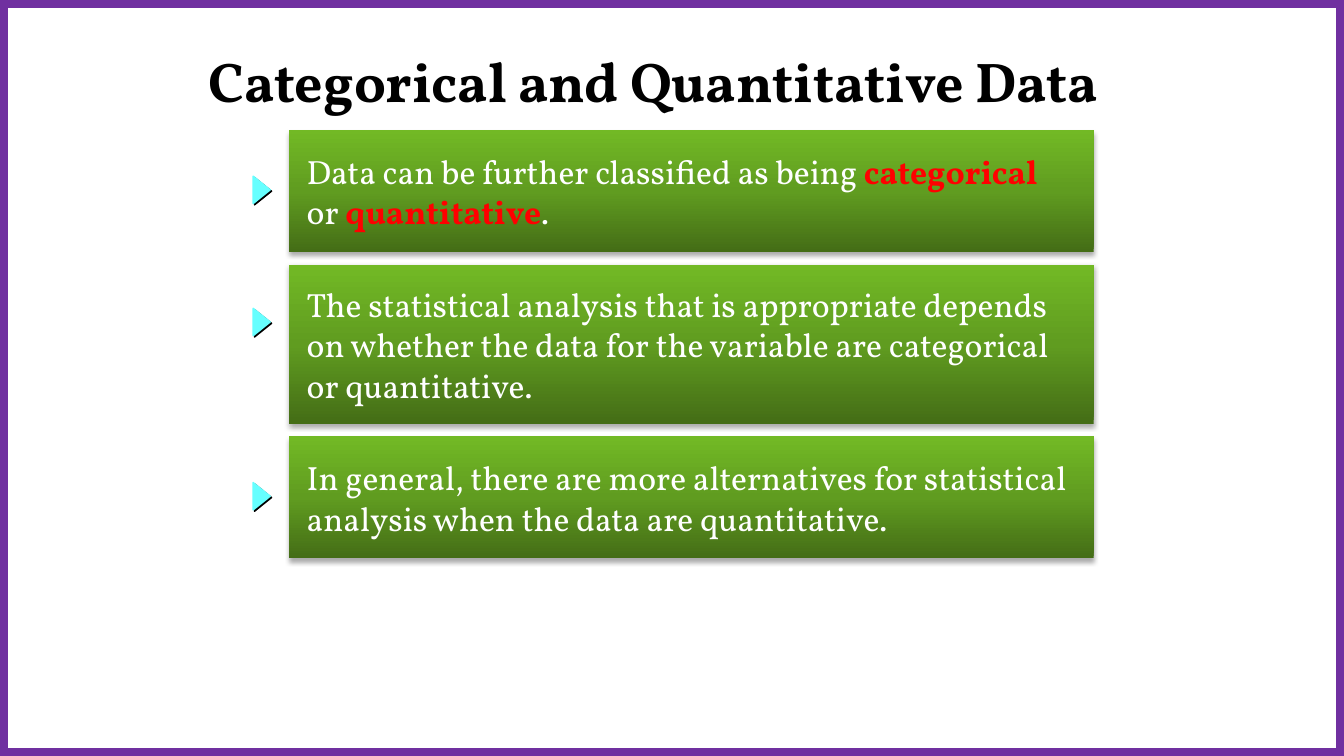
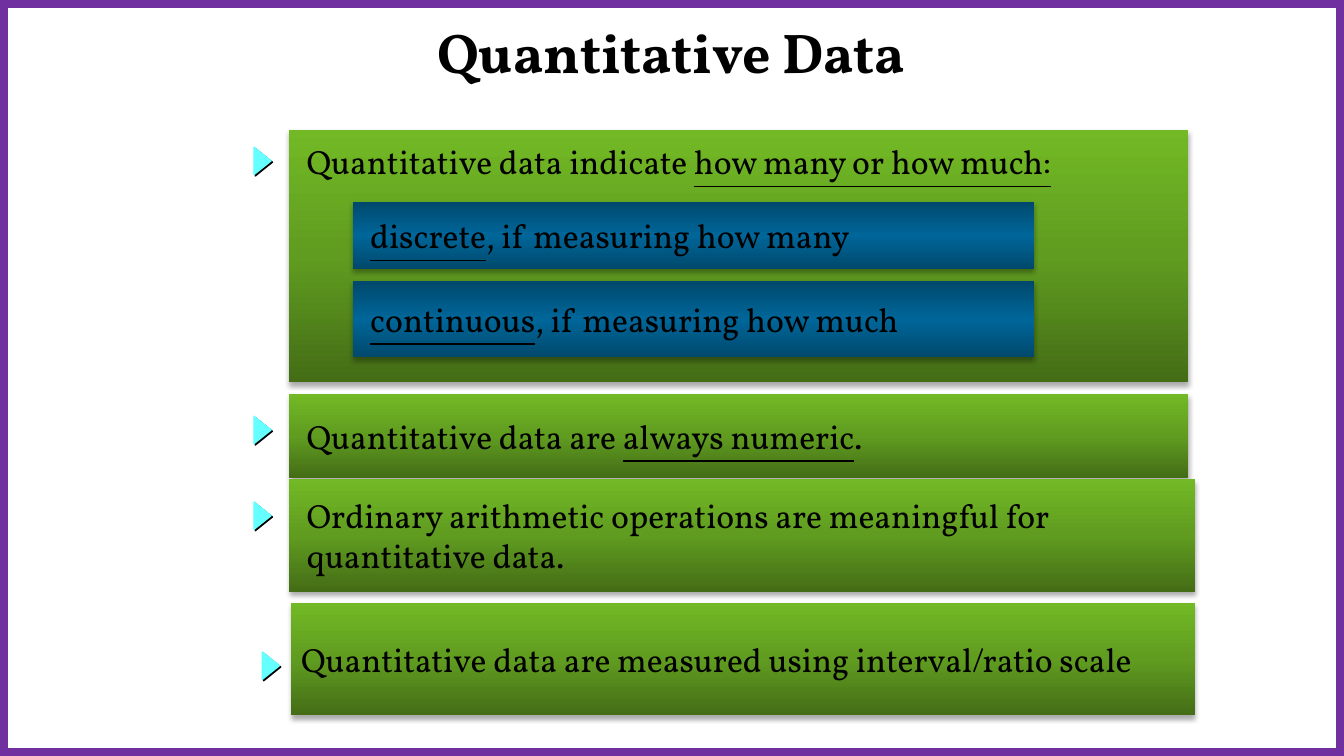
from dataclasses import dataclass
from typing import Any

from lxml import etree
from pptx import Presentation
from pptx.dml.color import RGBColor
from pptx.enum.shapes import MSO_SHAPE
from pptx.enum.text import MSO_ANCHOR, MSO_AUTO_SIZE, PP_ALIGN
from pptx.oxml.ns import qn
from pptx.util import Cm, Pt

RECT, TRIANGLE = MSO_SHAPE.RECTANGLE, MSO_SHAPE.ISOSCELES_TRIANGLE
TOP, MIDDLE = MSO_ANCHOR.TOP, MSO_ANCHOR.MIDDLE
LEFT, CENTER = PP_ALIGN.LEFT, PP_ALIGN.CENTER
NO_FIT = MSO_AUTO_SIZE.NONE

WIDE, HIGH = 33.87, 19.05
FONT = "Vollkorn"
BLACK, WHITE, RED = "000000", "FFFFFF", "FF0000"
PURPLE, CYAN = "7030A0", "66FFFF"
GREEN = ("446D16", "609C20", "72B925")
BLUE = ("00496D", "006699", "00496D")

HEAD = {"name": FONT, "size": Pt(40), "bold": True, "color": BLACK}
BODY = {"name": FONT, "size": Pt(24), "color": BLACK}
LIGHT = BODY | {"color": WHITE}
KEY = BODY | {"color": RED, "bold": True}
UNDER = BODY | {"underline": True}

Run = tuple[str, dict[str, Any]]
Line = list[Run]


@dataclass
class Box:
    """A place on the slide, in centimetres."""
    left: float
    top: float
    width: float
    height: float

    def lengths(self) -> tuple[Cm, Cm, Cm, Cm]:
        """Give left, top, width and height as lengths."""
        return Cm(self.left), Cm(self.top), Cm(self.width), Cm(self.height)


@dataclass
class Shade:
    """A shadow: opacity in percent, blur and distance in points, angle in degrees."""
    alpha: int
    blur: float
    dist: float
    angle: int


@dataclass
class Pane:
    """A shaded panel of text."""
    box: Box
    lines: list[Line]
    stops: tuple[str, str, str] = GREEN
    inset: float = 0.44
    anchor: Any = MIDDLE


@dataclass
class Page:
    """A titled slide with its panes and the left and top of each marker."""
    title: str
    place: Box
    panes: list[Pane]
    marks: list[tuple[float, float]]


SOFT, HARD = Shade(32, 3.5, 2.2, 90), Shade(100, 0, 1.4, 45)


def plain(*texts: str, style: dict[str, Any] = BODY) -> list[Line]:
    """Make one line of a single style from each text."""
    return [[(text, style)] for text in texts]


PAGES = [
    Page("Categorical and Quantitative Data", Box(3.53, 0.74, 25.86, 2.54), [
        Pane(Box(7.29, 3.28, 20.27, 3.07), [
            [("Data can be further classified as being ", LIGHT), ("categorical", KEY)],
            [("or ", LIGHT), ("quantitative", KEY), (".", LIGHT)]]),
        Pane(Box(7.29, 6.67, 20.27, 4.01), plain(
            "The statistical analysis that is appropriate depends",
            "on whether the data for the variable are categorical",
            "or quantitative.", style=LIGHT)),
        Pane(Box(7.29, 11, 20.27, 3.07), plain(
            "In general, there are more alternatives for statistical",
            "analysis when the data are quantitative.", style=LIGHT)),
    ], [(6.25, 4.57), (6.25, 7.9), (6.25, 12.29)]),
    Page("Quantitative Data", Box(6.12, 0.15, 21.59, 2.26), [
        Pane(Box(7.29, 3.28, 22.66, 6.35), [
            [("Quantitative data indicate ", BODY), ("how many or how much:", UNDER)]],
            anchor=TOP),
        Pane(Box(8.89, 5.08, 17.17, 1.7), [
            [("discrete", UNDER), (", if measuring how many", BODY)]], BLUE),
        Pane(Box(8.89, 7.09, 17.17, 1.91), [
            [("continuous", UNDER), (", if measuring how much", BODY)]], BLUE),
        Pane(Box(7.29, 9.93, 22.66, 2.11), [
            [("Quantitative data are ", BODY), ("always numeric", UNDER), (".", BODY)]]),
        Pane(Box(7.29, 12.07, 22.83, 2.84), plain(
            "Ordinary arithmetic operations are meaningful for",
            "quantitative data.")),
        Pane(Box(7.34, 15.19, 22.78, 2.84), plain(
            "Quantitative data are measured using interval/ratio scale"), inset=0.25),
    ], [(6.27, 3.84), (6.27, 10.62), (6.27, 12.78), (6.48, 16.56)]),
]


def paint(target: Any, color: str) -> None:
    """Give a fill a solid colour."""
    target.solid()
    target.fore_color.rgb = RGBColor.from_string(color)


def blend(shape: Any, stops: tuple[str, ...]) -> None:
    """Fill a shape with evenly spaced stops from bottom to top."""
    shape.fill.gradient()
    shape.fill.gradient_angle = 90
    group = shape.element.spPr.find(".//" + qn("a:gsLst"))
    group.clear()
    for index, color in enumerate(stops):
        stop = etree.SubElement(group, qn("a:gs"), pos=str(index * 100000 // (len(stops) - 1)))
        etree.SubElement(stop, qn("a:srgbClr"), val=color)


def cast(shape: Any, shade: Shade) -> None:
    """Give a shape a black outer shadow."""
    effects = shape.element.spPr.find(qn("a:effectLst"))
    outer = etree.SubElement(
        effects, qn("a:outerShdw"), blurRad=str(Pt(shade.blur)), dist=str(Pt(shade.dist)),
        dir=str(shade.angle * 60000), algn="ctr", rotWithShape="0")
    color = etree.SubElement(outer, qn("a:srgbClr"), val=BLACK)
    etree.SubElement(color, qn("a:alpha"), val=str(shade.alpha * 1000))


def write(frame: Any, lines: list[Line], align: Any, **format: Any) -> None:
    """Write lines of styled runs into a text frame."""
    for name, value in ({"word_wrap": True} | format).items():
        setattr(frame, name, value)
    for index, line in enumerate(lines):
        para = frame.add_paragraph() if index else frame.paragraphs[0]
        para.alignment = align
        for text, style in line:
            run = para.add_run()
            run.text = text
            for name, value in style.items():
                if name == "color":
                    paint(run.font.fill, value)
                else:
                    setattr(run.font, name, value)


def add(slide: Any, kind: Any, box: Box) -> Any:
    """Add a preset shape without the theme's shadow."""
    shape = slide.shapes.add_shape(kind, *box.lengths())
    shape.shadow.inherit = False
    return shape


def edge(shape: Any, color: str, width: float) -> None:
    """Outline a shape."""
    paint(shape.line.fill, color)
    shape.line.width = Pt(width)


def frame(slide: Any) -> None:
    """Put the purple border on the layout of a slide."""
    border = add(slide, RECT, Box(0, 0, WIDE, HIGH))
    border.fill.background()
    edge(border, PURPLE, 12)
    slide.slide_layout.shapes.element.append(border.element)


def panel(slide: Any, pane: Pane) -> None:
    """Draw a shaded panel with its text."""
    shape = add(slide, RECT, pane.box)
    blend(shape, pane.stops)
    shape.line.fill.background()
    cast(shape, SOFT)
    write(shape.text_frame, pane.lines, LEFT, vertical_anchor=pane.anchor,
          margin_left=Cm(pane.inset), margin_right=Cm(0),
          margin_top=Cm(0.28), margin_bottom=Cm(0.28))


def mark(slide: Any, left: float, top: float) -> None:
    """Draw a triangle that points right."""
    shape = add(slide, TRIANGLE, Box(left, top, 0.69, 0.43))
    shape.rotation = 90
    paint(shape.fill, CYAN)
    edge(shape, CYAN, 1)
    cast(shape, HARD)


def build(slide: Any, page: Page) -> None:
    """Fill a slide with its title, panes and markers."""
    title = slide.shapes.title
    title.left, title.top, title.width, title.height = page.place.lengths()
    write(title.text_frame, plain(page.title, style=HEAD), CENTER,
          vertical_anchor=MIDDLE, auto_size=NO_FIT)
    for pane in page.panes:
        panel(slide, pane)
    for left, top in page.marks:
        mark(slide, left, top)


def main() -> None:
    """Build and save the deck."""
    deck = Presentation()
    deck.slide_width, deck.slide_height = Cm(WIDE), Cm(HIGH)
    layout = deck.slide_layouts[5]
    slides = [deck.slides.add_slide(layout) for _ in PAGES]
    frame(slides[0])
    for slide, page in zip(slides, PAGES):
        build(slide, page)
    deck.save("out.pptx")


if __name__ == "__main__":
    main()
